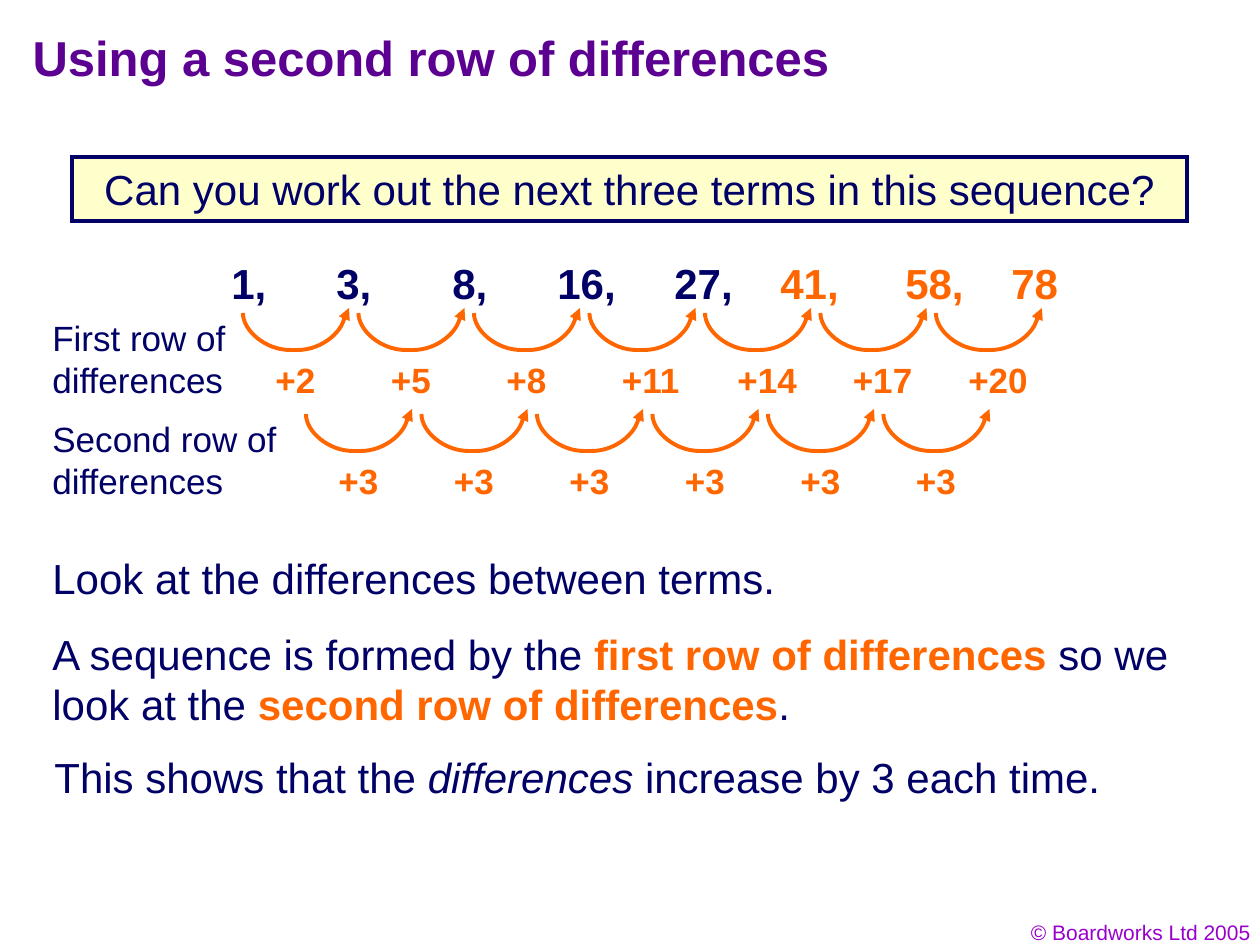
"""Build a slide that finds a sequence rule with a second row of differences."""
from lxml import etree
from pptx import Presentation
from pptx.dml.color import RGBColor
from pptx.enum.shapes import MSO_CONNECTOR, MSO_SHAPE
from pptx.enum.text import MSO_ANCHOR, PP_ALIGN
from pptx.oxml.ns import qn
from pptx.util import Pt

PX = 914400 // 126
LEFT, CENTER, RIGHT = PP_ALIGN.LEFT, PP_ALIGN.CENTER, PP_ALIGN.RIGHT
MIDDLE = MSO_ANCHOR.MIDDLE
RECTANGLE, STRAIGHT = MSO_SHAPE.RECTANGLE, MSO_CONNECTOR.STRAIGHT
FONT = "Arial"
NAVY, INK, ORANGE = "000066", "010066", "FF6600"
PURPLE, VIOLET, CREAM = "5B0091", "9900CC", "FFFFCC"

TITLE = "Using a second row of differences"
QUESTION = "Can you work out the next three terms in this sequence?"
COPYRIGHT = "© Boardworks Ltd 2005"
GIVEN_TERMS = ["1,", "3,", "8,", "16,", "27,"]
TERM_TABS = [105, 221, 326, 443]
NEXT_TERMS = [("41,", 768, 88), ("58,", 893, 88), ("78", 999, 76)]
DIFFERENCE_ROWS = [
    ("First row of differences", 310, 202, 243, 313,
     ["+2", "+5", "+8", "+11", "+14", "+17", "+20"]),
    ("Second row of differences", 411, 262, 306, 414, ["+3"] * 6),
]
EXPLANATION = [
    ((40, 546, 748, 63), [("Look at the differences between terms.", "")]),
    ((40, 622, 1193, 113), [
        ("A sequence is formed by the ", ""),
        ("first row of differences", "key"),
        (" so we look at the ", ""),
        ("second row of differences", "key"),
        (".", ""),
    ]),
    ((42, 745, 1193, 63), [
        ("This shows that the ", ""),
        ("differences", "italic"),
        (" increase by 3 each time.", ""),
    ]),
]
ARC = [(0, 0), (0, 18), (23, 37), (47, 37), (55, 37), (79, 37), (102, 18), (102, 0)]
ARROW_TIP = [(103, 2), (106, -5)]


def rgb(color):
    return RGBColor.from_string(color)


def emu(*lengths):
    return [round(length * PX) for length in lengths]


def style(paragraph, size, color, bold=False, align=LEFT):
    paragraph.alignment = align
    font = paragraph.font
    font.name, font.size, font.bold = FONT, Pt(size), bold
    font.color.rgb = rgb(color)


def add_text(shapes, place, text, size, color, bold=False, align=LEFT):
    box = shapes.add_textbox(*emu(*place))
    box.text_frame.word_wrap = True
    paragraph = box.text_frame.paragraphs[0]
    paragraph.text = text
    style(paragraph, size, color, bold, align)
    return paragraph


def add_given_terms(shapes):
    paragraph = add_text(shapes, (219, 251, 538, 63), "", 24, NAVY, True)
    paragraph.text = "\t".join(GIVEN_TERMS)
    properties = paragraph._p.get_or_add_pPr()
    tabs = etree.Element(qn("a:tabLst"))
    for position in TERM_TABS:
        etree.SubElement(tabs, qn("a:tab"), pos=str(position * PX), algn="l")
    properties.insert(0, tabs)


def add_arc(shapes, x, y):
    points = [emu(x + dx, y + dy) for dx, dy in ARC]
    builder = shapes.build_freeform(*points[0])
    builder.add_line_segments(points[1:], close=False)
    arc = builder.convert_to_shape()
    arc.shadow.inherit = False
    arc.fill.background()
    arc.line.color.rgb, arc.line.width = rgb(ORANGE), Pt(2.25)
    path = next(arc._element.iter(qn("a:path")))
    segments = list(path)
    for controls in (segments[1:4], segments[5:8]):
        curve = etree.Element(qn("a:cubicBezTo"))
        controls[0].addprevious(curve)
        for control in controls:
            curve.append(control[0])
            path.remove(control)


def add_arrow_tip(shapes, x, y):
    start, end = [emu(x + dx, y + dy) for dx, dy in ARROW_TIP]
    tip = shapes.add_connector(STRAIGHT, *start, *end)
    tip.line.color.rgb, tip.line.width = rgb(ORANGE), Pt(2.25)
    etree.SubElement(tip.line._get_or_add_ln(), qn("a:tailEnd"), type="triangle")
    etree.SubElement(tip._element.spPr, qn("a:effectLst"))


def add_difference(shapes, x, y, difference):
    step = shapes.add_group_shape().shapes
    add_arc(step, x, y)
    add_arrow_tip(step, x, y)
    width = 68 if len(difference) == 2 else 88
    add_text(step, (x + 20, y + 39, width, 55), difference, 20, ORANGE, True)


def add_explanation(shapes, place, parts):
    paragraph = add_text(shapes, place, "", 24, INK)
    for text, emphasis in parts:
        run = paragraph.add_run()
        run.text = text
        if emphasis == "key":
            run.font.bold = True
            run.font.color.rgb = rgb(ORANGE)
        elif emphasis == "italic":
            run.font.italic = True


def add_title(title):
    title.left, title.top, title.width, title.height = emu(20, 13, 1082, 87)
    title.text_frame.text = TITLE
    title.text_frame.vertical_anchor = MIDDLE
    style(title.text_frame.paragraphs[0], 28, PURPLE, True)


def add_question(shapes):
    banner = shapes.add_shape(RECTANGLE, *emu(72, 157, 1115, 64))
    banner.shadow.inherit = False
    banner.fill.solid()
    banner.fill.fore_color.rgb = rgb(CREAM)
    banner.line.color.rgb, banner.line.width = rgb(NAVY), Pt(2.25)
    etree.SubElement(banner.line._get_or_add_ln(), qn("a:miter"), lim="800000")
    banner.text_frame.text = QUESTION
    style(banner.text_frame.paragraphs[0], 24, NAVY, align=CENTER)


def main():
    deck = Presentation()
    deck.slide_width, deck.slide_height = emu(1260, 945)
    slide = deck.slides.add_slide(deck.slide_layouts[5])
    shapes = slide.shapes
    add_title(shapes.title)
    add_text(shapes, (969, 913, 294, 38), COPYRIGHT, 12, VIOLET, align=RIGHT)
    add_question(shapes)
    add_given_terms(shapes)
    for term, x, width in NEXT_TERMS:
        add_text(shapes, (x, 251, width, 63), term, 24, ORANGE, True)
    for label, top, width, x, y, differences in DIFFERENCE_ROWS:
        add_text(shapes, (40, top, width, 97), label, 20, INK)
        for index, difference in enumerate(differences):
            add_difference(shapes, x + index * 231 / 2, y, difference)
    for place, parts in EXPLANATION:
        add_explanation(shapes, place, parts)
    deck.save("out.pptx")


if __name__ == "__main__":
    main()
